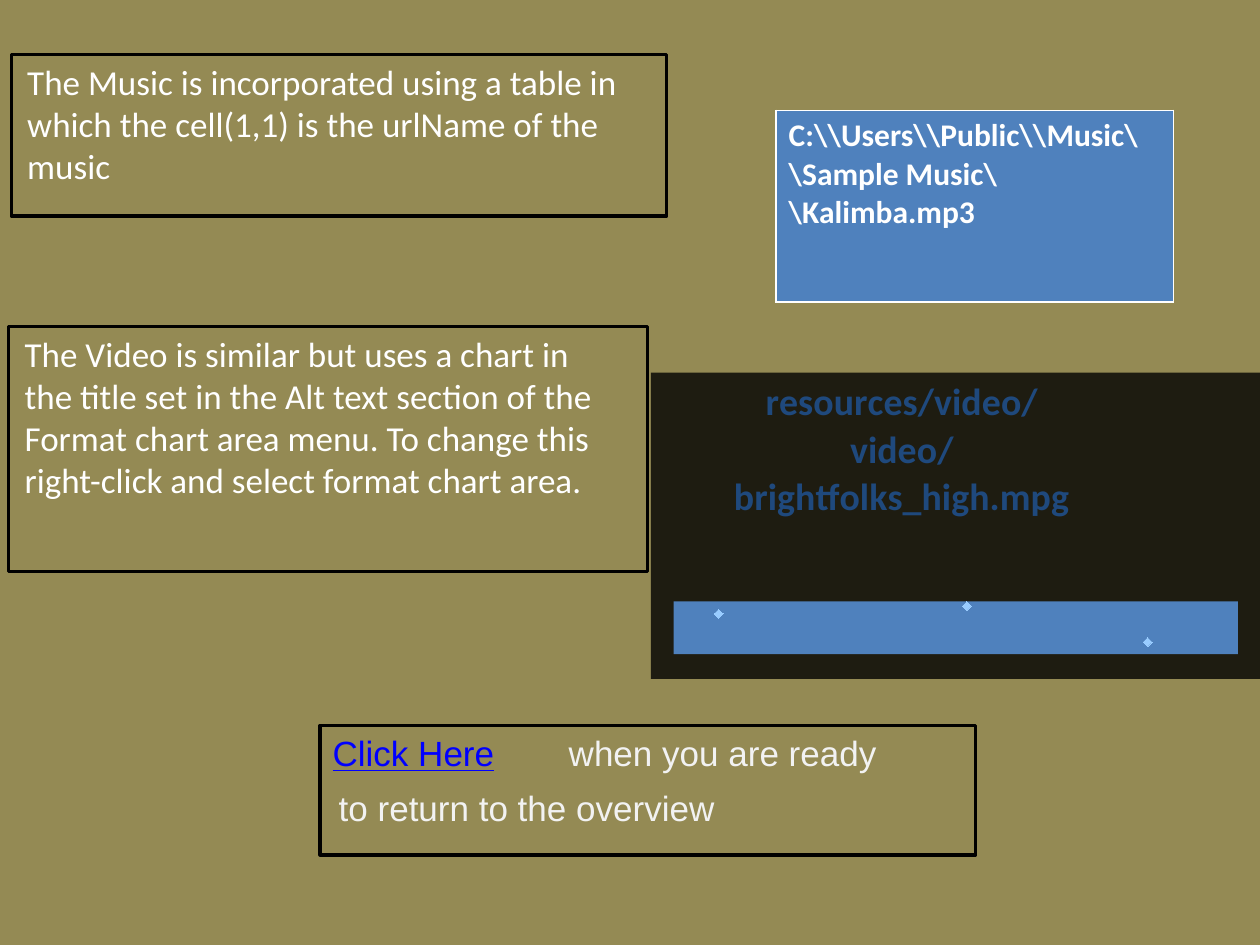
from lxml import etree
from pptx import Presentation
from pptx import util as u
from pptx.chart.data import XyChartData
from pptx.dml.color import RGBColor
from pptx.enum import chart as charts, shapes, text
from pptx.oxml import parse_xml
from pptx.oxml.ns import nsdecls, qn

WHITE, BLACK, PALE, LINK = "FFFFFF", "000000", "F2F2F2", "0000FF"
OLIVE, DARK, BLUE, NAVY, SKY = "948A54", "1E1C11", "4F81BD", "1F497D", "99CCFF"


def color(value):
    return RGBColor.from_string(value)


def fill_solid(target, value):
    target.fill.solid()
    target.fill.fore_color.rgb = color(value)


def chart_fill(value):
    """Return a chart spPr element with a solid fill and no outline."""
    return parse_xml(
        f'<c:spPr {nsdecls("c", "a")}><a:solidFill><a:srgbClr val="{value}"/></a:solidFill>'
        "<a:ln><a:noFill/></a:ln></c:spPr>")


def manual_layout(parts):
    """Return a chart layout element from (tag, value) pairs."""
    layout = etree.Element(qn("c:layout"))
    manual = etree.SubElement(layout, qn("c:manualLayout"))
    for tag, value in parts:
        etree.SubElement(manual, qn(f"c:{tag}")).set("val", str(value))
    return layout


class SlideBuilder:
    font = "Calibri"
    size = 20

    def __init__(self, slide):
        self.slide = slide
        fill_solid(slide.background, OLIVE)

    def style(self, font, value, size=None, name=None, bold=False, underline=False):
        font.name = name or self.font
        font.size = u.Pt(size or self.size)
        font.bold = bold
        font.underline = underline
        font.color.rgb = color(value)

    def frame(self, *box):
        shape = self.slide.shapes.add_shape(
            shapes.MSO_SHAPE.RECTANGLE, *map(u.Pt, box))
        shape.shadow.inherit = False
        shape.fill.background()
        shape.line.color.rgb = color(BLACK)
        shape.line.width = u.Pt(2)

    def label(self, wording, box, value=WHITE, indent=7.2, **style):
        shape = self.slide.shapes.add_textbox(*map(u.Pt, box))
        text_frame = shape.text_frame
        text_frame.word_wrap = True
        text_frame.auto_size = text.MSO_AUTO_SIZE.SHAPE_TO_FIT_TEXT
        text_frame.margin_left = u.Pt(indent)
        text_frame.text = wording
        self.style(text_frame.paragraphs[0].runs[0].font, value, **style)

    def table(self, wording, box):
        shape = self.slide.shapes.add_table(1, 1, *map(u.Pt, box))
        cell = shape.table.cell(0, 0)
        cell.text_frame.text = wording
        self.style(cell.text_frame.paragraphs[0].runs[0].font, WHITE, size=18, bold=True)
        fill_solid(cell, BLUE)
        properties = cell._tc.get_or_add_tcPr()
        for index, side in enumerate("LRTB"):
            properties.insert(index, parse_xml(
                f'<a:ln{side} {nsdecls("a")} w="{u.Pt(1)}"><a:solidFill>'
                f'<a:srgbClr val="{WHITE}"/></a:solidFill></a:ln{side}>'))

    def scatter(self, title_lines, points, box):
        data = XyChartData()
        series_data = data.add_series("Series 1")
        for x, y in points:
            series_data.add_data_point(x, y)
        chart = self.slide.shapes.add_chart(
            charts.XL_CHART_TYPE.XY_SCATTER, *map(u.Pt, box), data).chart
        self.style(chart.font, NAVY, size=18)
        chart.has_legend = False
        self.chart_title(chart, title_lines)
        for axis, low, high in ((chart.category_axis, 0.5, 3), (chart.value_axis, 0, 110)):
            axis.minimum_scale, axis.maximum_scale = low, high
            axis.has_major_gridlines = False
            axis.visible = False

        plot = chart.plots[0]
        plot.vary_by_categories = False
        series = plot.series[0]
        series.smooth = False
        series.format.line.fill.background()
        series.marker.style = charts.XL_MARKER_STYLE.DIAMOND
        series.marker.size = 5
        fill_solid(series.marker.format, SKY)
        series.marker.format.line.fill.background()

        chart_element = chart._chartSpace.find(qn("c:chart"))
        chart_element.addnext(chart_fill(DARK))
        plot_area = chart_element.find(qn("c:plotArea"))
        for layout in plot_area.findall(qn("c:layout")):
            plot_area.remove(layout)
        plot_area.insert(0, manual_layout((
            ("layoutTarget", "inner"), ("xMode", "edge"), ("yMode", "edge"),
            ("x", 0.037), ("y", 0.747), ("w", 0.927), ("h", 0.172))))
        plot_area.append(chart_fill(BLUE))

    def chart_title(self, chart, lines):
        chart.has_title = True
        title = chart.chart_title
        title.text_frame.text = "\n".join(lines)
        for paragraph in title.text_frame.paragraphs:
            paragraph.alignment = text.PP_ALIGN.CENTER
            self.style(paragraph.runs[0].font, NAVY, size=21.6, bold=True)
        element = title._element
        for layout in element.findall(qn("c:layout")):
            element.remove(layout)
        element.find(qn("c:tx")).addnext(manual_layout((
            ("xMode", "edge"), ("yMode", "edge"), ("x", 0.13), ("y", 0))))


def main():
    presentation = Presentation()
    presentation.slide_width, presentation.slide_height = u.Pt(720), u.Pt(540)
    builder = SlideBuilder(presentation.slides.add_slide(presentation.slide_layouts[6]))

    builder.frame(183, 414.5, 374.5, 74)
    builder.frame(6.5, 31, 374.5, 92.5)
    builder.label("The Music is incorporated using a table in which the cell(1,1) "
                  "is the urlName of the music", (8.5, 31, 363, 80))
    builder.label("Click Here", (183, 414.5, 124, 31.5), LINK, name="Arial", underline=True)
    builder.label("when you are ready", (296, 414.5, 261.5, 31.5), PALE,
                  indent=29, name="Arial")
    builder.label("to return to the overview", (186.5, 446, 341, 31.5), PALE, name="Arial")
    builder.frame(5, 186.5, 365, 140)
    builder.label("The Video is similar but uses a chart in the title set in the Alt text "
                  "section of the Format chart area menu. To change this right-click and "
                  "select format chart area.", (7, 186.5, 353.5, 104.5))

    builder.table(r"C:\\Users\\Public\\Music\\Sample Music\\Kalimba.mp3",
                  (443.5, 63, 227, 109.5))
    builder.scatter(("resources/video/", "video/", "brightfolks_high.mpg"),
                    ((0.7, 84), (1.8, 100), (2.6, 25)), (372, 213, 348, 175))
    presentation.save("out.pptx")


if __name__ == "__main__":
    main()
